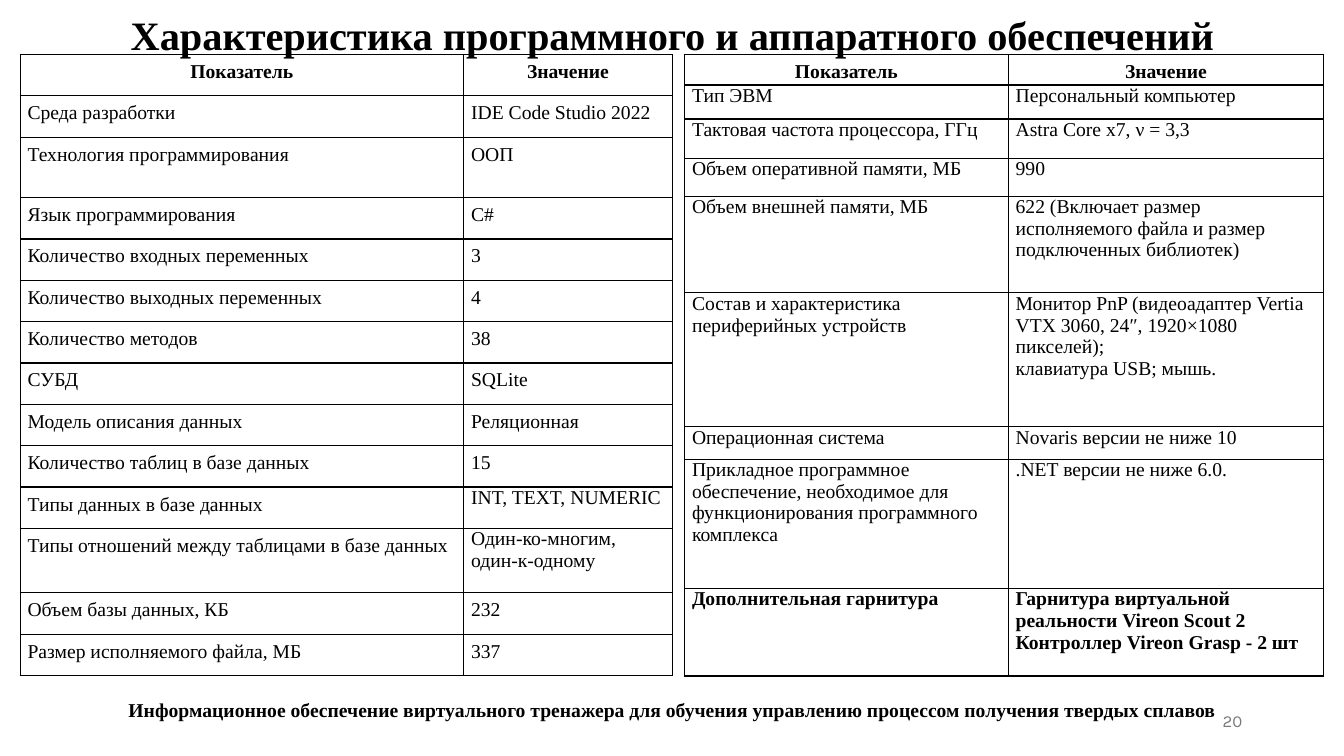
from dataclasses import dataclass

from pptx import Presentation
from pptx.dml.color import RGBColor
from pptx.enum.text import MSO_ANCHOR as Anchor, MSO_AUTO_SIZE as AutoSize, PP_ALIGN as Align
from pptx.oxml import parse_xml
from pptx.oxml.ns import nsdecls
from pptx.util import Inches, Pt

COLORS = {"ink": "000000", "page number": "797979"}
SERIF = "Times New Roman"
WIDTH, HEIGHT = Inches(13.33), Inches(7.5)
LOOSE = 1.3


def across(percent: float) -> int:
    return round(WIDTH * percent / 100)


def down(percent: float) -> int:
    return round(HEIGHT * percent / 100)


@dataclass
class Style:
    size: float = 14
    bold: bool = False
    align: Align = Align.LEFT
    spacing: float = 1.0
    face: str = SERIF
    color: str = "ink"


@dataclass
class Indicator:
    name: str
    value: str
    height: float = 5.47
    name_spacing: float = LOOSE
    value_spacing: float = LOOSE
    bold: bool = False
    value_align: Align = Align.JUSTIFY


@dataclass
class Panel:
    left: float
    columns: tuple[float, float]
    header_height: float
    indicators: list[Indicator]


def hardware(name: str, value: str, height: float, bold: bool = False) -> Indicator:
    return Indicator(name, value, height, 1.0, 1.0, bold, Align.LEFT)


SOFTWARE_PANEL = Panel(1.5, (33, 15.53), 5.47, [
    Indicator("Среда разработки", "IDE Code Studio 2022"),
    Indicator("Технология программирования", "ООП", 8),
    Indicator("Язык программирования", "C#"),
    Indicator("Количество входных переменных", "3"),
    Indicator("Количество выходных переменных", "4"),
    Indicator("Количество методов", "38"),
    Indicator("СУБД", "SQLite"),
    Indicator("Модель описания данных", "Реляционная"),
    Indicator("Количество таблиц в базе данных", "15"),
    Indicator("Типы данных в базе данных", "INT, TEXT, NUMERIC", value_spacing=1.0),
    Indicator("Типы отношений между таблицами в базе данных",
              "Один-ко-многим, один-к-одному", 8.53, value_spacing=1.0),
    Indicator("Объем базы данных, КБ", "232"),
    Indicator("Размер исполняемого файла, МБ", "337"),
])
HARDWARE_PANEL = Panel(50.94, (24.08, 23.48), 4, [
    hardware("Тип ЭВМ", "Персональный компьютер", 4.5),
    hardware("Тактовая частота процессора, ГГц", "Astra Core x7, ν = 3,3", 5.2),
    hardware("Объем оперативной памяти, МБ", "990", 5),
    hardware("Объем внешней памяти, МБ",
             "622 (Включает размер исполняемого файла и размер подключенных библиотек)", 12.8),
    hardware("Состав и характеристика периферийных устройств",
             "Монитор PnP (видеоадаптер Vertia VTX 3060, 24″, 1920×1080 пикселей);\n"
             "клавиатура USB; мышь.", 17.7),
    hardware("Операционная система", "Novaris версии не ниже 10", 4.3),
    hardware("Прикладное программное обеспечение, необходимое для функционирования "
             "программного комплекса", ".NET версии не ниже 6.0.", 17.1),
    hardware("Дополнительная гарнитура",
             "Гарнитура виртуальной реальности Vireon Scout 2\n"
             "Контроллер Vireon Grasp - 2 шт", 11.6, bold=True),
])


def apply(target: object, formats: dict[str, object]) -> None:
    for attribute, setting in formats.items():
        setattr(target, attribute, setting)


def write(frame, wording: str, style: Style) -> None:
    frame.text = wording
    for paragraph in frame.paragraphs:
        apply(paragraph, {"alignment": style.align, "line_spacing": style.spacing,
                          "space_before": Pt(0), "space_after": Pt(0)})
        for run in paragraph.runs:
            apply(run.font, {"name": style.face, "size": Pt(style.size), "bold": style.bold})
            run.font.color.rgb = RGBColor.from_string(COLORS[style.color])


def rule_borders(cell) -> None:
    properties = cell._tc.get_or_add_tcPr()
    for side in ("lnL", "lnR", "lnT", "lnB"):
        properties.append(parse_xml(
            f'<a:{side} {nsdecls("a")} w="{Pt(1)}"><a:solidFill>'
            f'<a:srgbClr val="{COLORS["ink"]}"/></a:solidFill></a:{side}>'))
    cell.fill.background()


def fill_cell(cell, wording: str, style: Style) -> None:
    apply(cell, {"margin_left": across(0.55), "margin_right": across(0.55),
                 "margin_top": 0, "margin_bottom": 0, "vertical_anchor": Anchor.TOP})
    write(cell.text_frame, wording, style)
    rule_borders(cell)


def draw_panel(slide, panel: Panel) -> None:
    heights = [panel.header_height, *(item.height for item in panel.indicators)]
    grid = slide.shapes.add_table(
        len(heights), len(panel.columns), across(panel.left), down(7.2),
        across(sum(panel.columns)), down(sum(heights))).table
    apply(grid, {"first_row": False, "horz_banding": False})
    for column, width in zip(grid.columns, panel.columns):
        column.width = across(width)
    for row, height in zip(grid.rows, heights):
        row.height = down(height)
    for column, heading in enumerate(("Показатель", "Значение")):
        fill_cell(grid.cell(0, column), heading,
                  Style(bold=True, align=Align.CENTER, spacing=LOOSE))
    for row, item in enumerate(panel.indicators, start=1):
        fill_cell(grid.cell(row, 0), item.name,
                  Style(bold=item.bold, spacing=item.name_spacing))
        fill_cell(grid.cell(row, 1), item.value,
                  Style(bold=item.bold, align=item.value_align, spacing=item.value_spacing))


def draw_title(slide, wording: str) -> None:
    title = slide.shapes.title
    apply(title, {"left": across(6.9), "top": 0, "width": across(86.27), "height": down(9.87)})
    apply(title.text_frame, {"word_wrap": True, "auto_size": AutoSize.NONE,
                             "vertical_anchor": Anchor.MIDDLE})
    write(title.text_frame, wording, Style(28.8, True, Align.CENTER, 0.9))


def draw_note(slide, wording: str, place: tuple[float, float, float, float],
              anchor: Anchor, style: Style) -> None:
    left, top, width, height = place
    note = slide.shapes.add_textbox(across(left), down(top), across(width), down(height))
    apply(note.text_frame, {"word_wrap": True, "vertical_anchor": anchor})
    write(note.text_frame, wording, style)


def main() -> None:
    deck = Presentation()
    apply(deck, {"slide_width": WIDTH, "slide_height": HEIGHT})
    slide = deck.slides.add_slide(deck.slide_layouts.get_by_name("Title Only"))
    draw_title(slide, "Характеристика программного и аппаратного обеспечений")
    draw_note(slide, "20", (70.67, 92.67, 22.5, 5.33), Anchor.MIDDLE,
              Style(12, align=Align.RIGHT, face="Karla", color="page number"))
    draw_note(slide, "Информационное обеспечение виртуального тренажера для обучения "
              "управлению процессом получения твердых сплавов",
              (6.9, 91.6, 86.27, 4.53), Anchor.TOP, Style(bold=True, align=Align.CENTER))
    for panel in (SOFTWARE_PANEL, HARDWARE_PANEL):
        draw_panel(slide, panel)
    deck.save("out.pptx")


if __name__ == "__main__":
    main()
